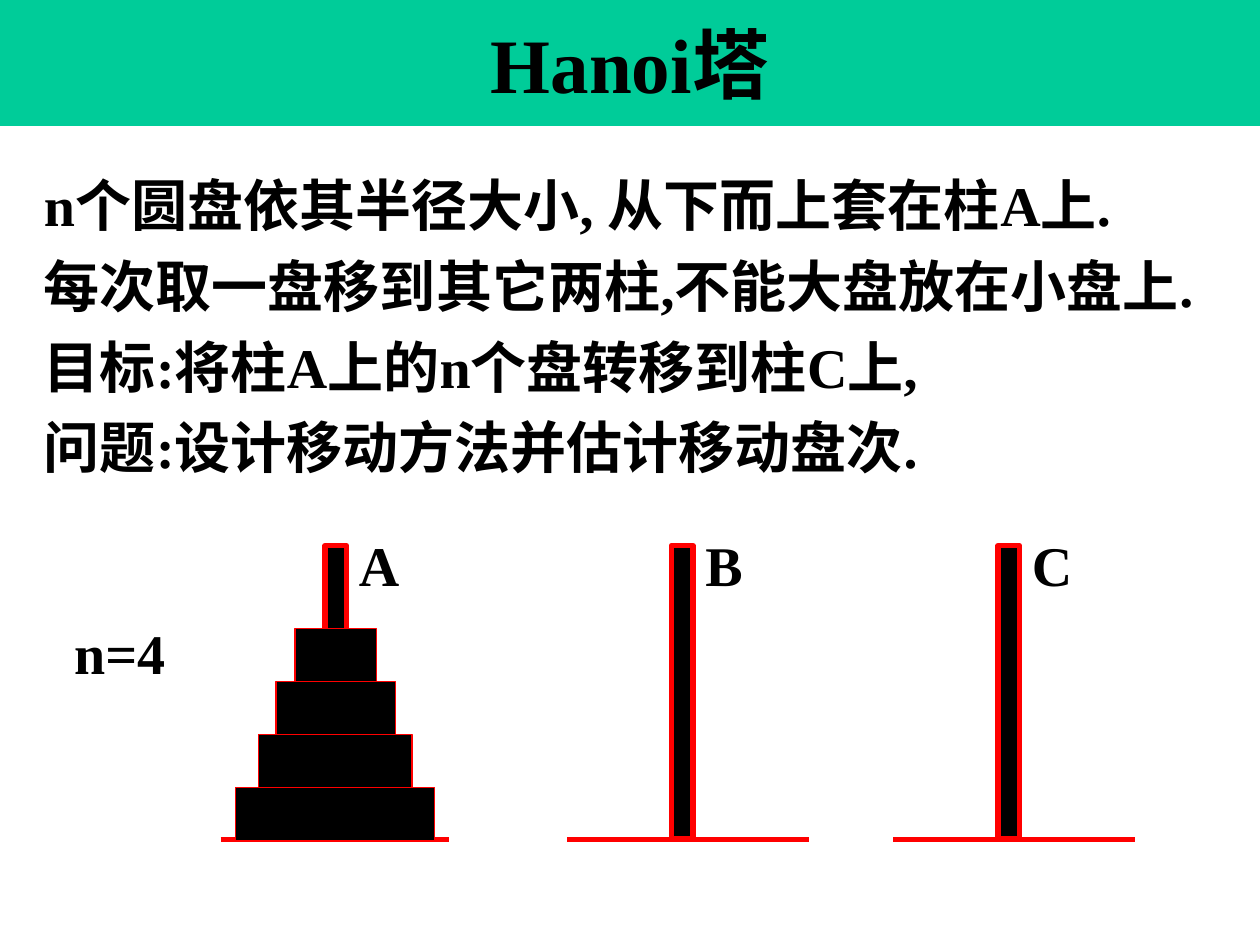
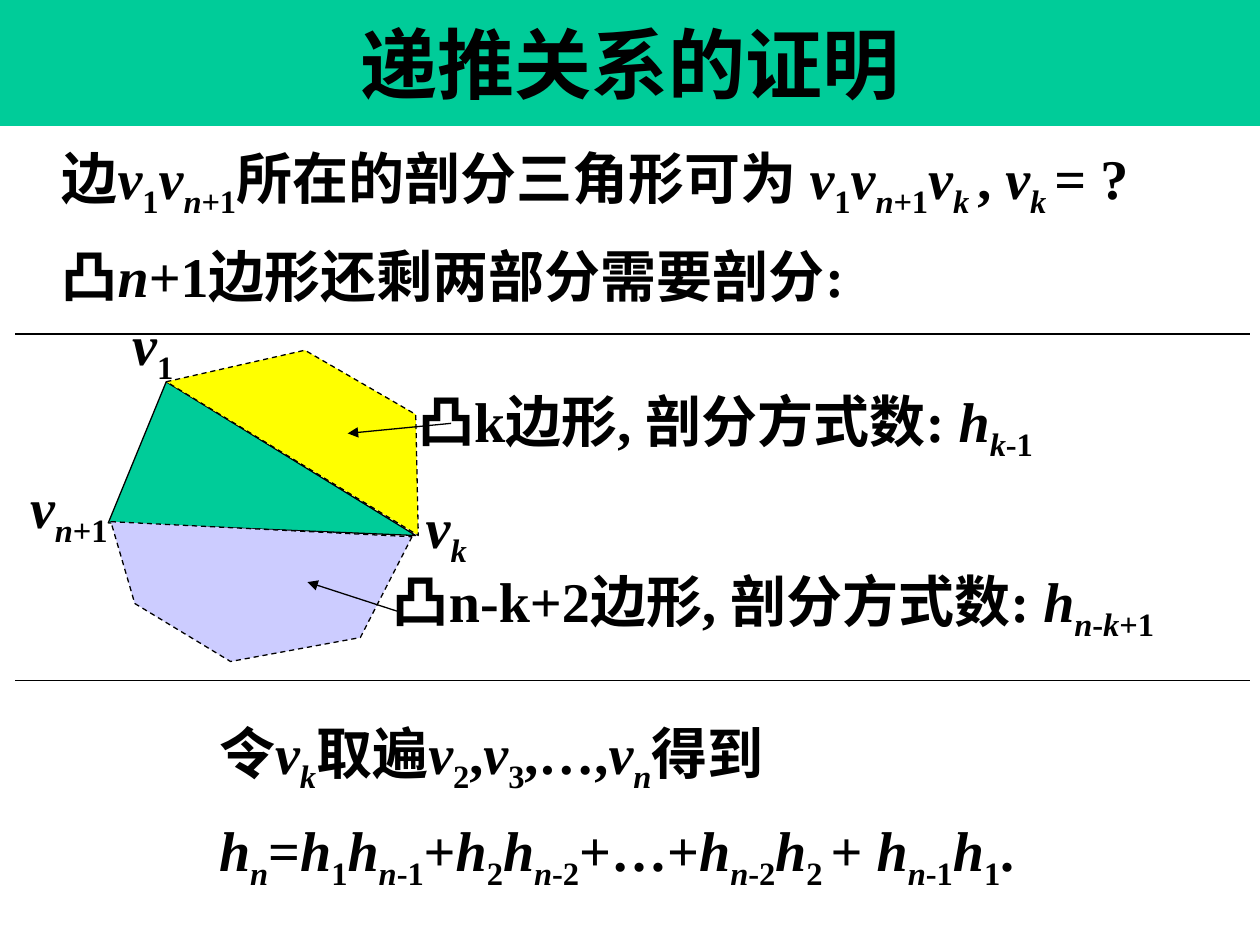
from dataclasses import dataclass
from typing import NamedTuple

import lxml.etree
import pptx
import pptx.dml.color
import pptx.enum.dml
import pptx.enum.shapes
import pptx.enum.text
import pptx.oxml.ns
import pptx.util

EMU_PER_PX = 9144  # 100 px to the inch


@dataclass(frozen=True)
class Theme:
    font: str = "Times New Roman"
    title_size: int = 44
    body_size: int = 32
    ink: str = "000000"
    band: str = "00CC99"
    peg_edge: str = "FF0000"
    upper_part: str = "FFFF00"
    lower_part: str = "CCCCFF"
    thin: float = 0.75
    thick: float = 3
    subscript: str = "-25000"


THEME = Theme()


class Span(NamedTuple):
    text: str
    italic: bool = False
    lowered: bool = False


class Place(NamedTuple):
    left: int
    top: int
    width: int
    height: int


class Point(NamedTuple):
    x: int
    y: int


class Peg(NamedTuple):
    name: str
    left: int
    base_width: int


class Note(NamedTuple):
    place: Place
    lines: list[list[Span]]
    space_before: int = 0
    line_spacing: float = 1.0


class Region(NamedTuple):
    points: list[Point]
    fill: str
    dashed: bool


class Rule(NamedTuple):
    start: Point
    end: Point
    arrow: bool = False
    color: str = THEME.ink
    weight: float = THEME.thin


def px(value: float) -> pptx.util.Emu:
    return pptx.util.Emu(round(value * EMU_PER_PX))


def rgb(value: str) -> pptx.dml.color.RGBColor:
    return pptx.dml.color.RGBColor.from_string(value)


def term(name: str, index: str = "", offset: str = "") -> list[Span]:
    """An italic variable with an optional index: italic letter, then upright part."""
    parts = [Span(name, True), Span(index, True, True), Span(offset, False, True)]
    return [part for part in parts if part.text]


def line(*parts: str | list[Span]) -> list[Span]:
    """Join upright strings and terms into the spans of one paragraph."""
    spans = []
    for part in parts:
        spans += [Span(part)] if isinstance(part, str) else part
    return spans


def add_spans(para, spans: list[Span], size: int) -> None:
    for item in spans:
        span = para.add_run()
        span.text = item.text
        font = span.font
        font.name, font.size = THEME.font, pptx.util.Pt(size)
        font.bold, font.italic = True, item.italic
        font.color.rgb = rgb(THEME.ink)
        if item.lowered:
            span._r.get_or_add_rPr().set("baseline", THEME.subscript)


def paint(shape, fill: str, edge: str | None, weight: float = THEME.thin) -> None:
    shape.shadow.inherit = False
    shape.fill.solid()
    shape.fill.fore_color.rgb = rgb(fill)
    if edge is None:
        shape.line.fill.background()
    else:
        shape.line.color.rgb = rgb(edge)
        shape.line.width = pptx.util.Pt(weight)


def add_box(page, place: Place, fill: str, edge: str | None, weight: float = THEME.thin):
    box = page.shapes.add_shape(
        pptx.enum.shapes.MSO_SHAPE.RECTANGLE, *map(px, place)
    )
    paint(box, fill, edge, weight)
    return box


def add_note(page, note: Note) -> None:
    frame = page.shapes.add_textbox(*map(px, note.place)).text_frame
    frame.word_wrap = True
    for number, spans in enumerate(note.lines):
        para = frame.add_paragraph() if number else frame.paragraphs[0]
        para.space_before = pptx.util.Pt(note.space_before)
        para.line_spacing = note.line_spacing
        add_spans(para, spans, THEME.body_size)


def add_rule(page, rule: Rule) -> None:
    connector = page.shapes.add_connector(
        pptx.enum.shapes.MSO_CONNECTOR.STRAIGHT, *map(px, rule.start + rule.end)
    )
    connector.line.color.rgb = rgb(rule.color)
    connector.line.width = pptx.util.Pt(rule.weight)
    if rule.arrow:
        outline = connector.line._get_or_add_ln()
        tail = lxml.etree.SubElement(outline, pptx.oxml.ns.qn("a:tailEnd"))
        tail.set("type", "triangle")
    lxml.etree.SubElement(connector._element.spPr, pptx.oxml.ns.qn("a:effectLst"))


def add_region(page, region: Region) -> None:
    first, *others = region.points
    builder = page.shapes.build_freeform(first.x, first.y, scale=EMU_PER_PX)
    builder.add_line_segments(others, close=True)
    shape = builder.convert_to_shape()
    paint(shape, region.fill, THEME.ink)
    if region.dashed:
        shape.line.dash_style = pptx.enum.dml.MSO_LINE.DASH


def add_page(deck, title: str):
    """Add a blank slide with the title band across its top."""
    page = deck.slides.add_slide(deck.slide_layouts[6])
    band = add_box(page, Place(0, 0, 1000, 100), THEME.band, None)
    frame = band.text_frame
    frame.word_wrap = True
    frame.vertical_anchor = pptx.enum.text.MSO_ANCHOR.MIDDLE
    para = frame.paragraphs[0]
    para.alignment = pptx.enum.text.PP_ALIGN.CENTER
    add_spans(para, [Span(title)], THEME.title_size)
    return page


def add_peg(page, peg: Peg, top: int, ground: int) -> None:
    base_left = peg.left - 83
    add_rule(page, Rule(
        Point(base_left, ground), Point(base_left + peg.base_width, ground),
        color=THEME.peg_edge, weight=THEME.thick,
    ))
    post = Place(peg.left, top, 17, ground - top)
    add_box(page, post, THEME.ink, THEME.peg_edge, THEME.thick)
    add_note(page, Note(Place(peg.left + 17, top - 17, 55, 64), [line(peg.name)]))


def add_hanoi_page(deck) -> None:
    page = add_page(deck, "Hanoi塔")
    add_note(page, Note(Place(25, 120, 975, 266), [
        line("n个圆盘依其半径大小, 从下而上套在柱A上."),
        line("每次取一盘移到其它两柱,不能大盘放在小盘上."),
        line("目标:将柱A上的n个盘转移到柱C上,"),
        line("问题:设计移动方法并估计移动盘次."),
    ], line_spacing=1.2))

    ground = 666
    for peg in (Peg("A", 258, 181), Peg("B", 533, 192), Peg("C", 792, 192)):
        add_peg(page, peg, 433, ground)

    disk_centre, disk_height = 266, 42
    for level, width in enumerate((158, 122, 95, 65), start=1):
        disk = Place(
            disk_centre - width // 2, ground + 1 - level * disk_height,
            width, disk_height,
        )
        add_box(page, disk, THEME.ink, THEME.peg_edge)
    add_note(page, Note(Place(49, 486, 105, 64), [line("n=4")]))


def add_proof_page(deck) -> None:
    page = add_page(deck, "递推关系的证明")
    v_first, v_last, v_k = term("v", "", "1"), term("v", "n", "+1"), term("v", "k")
    h_first, h_second = term("h", "", "1"), term("h", "", "2")
    h_minus_one, h_minus_two = term("h", "n", "-1"), term("h", "n", "-2")

    regions = (
        Region([Point(132, 303), Point(330, 425), Point(86, 415)], THEME.band, False),
        Region([Point(132, 303), Point(242, 278), Point(330, 329), Point(332, 425)],
               THEME.upper_part, True),
        Region([Point(327, 426), Point(286, 506), Point(183, 525), Point(107, 479),
                Point(88, 414)], THEME.lower_part, True),
    )
    notes = (
        Note(Place(39, 109, 930, 141), [
            line("边", v_first, v_last, "所在的剖分三角形可为 ", v_first, v_last,
                 term("v", "k "), ", ", term("v", "k "), "= ?"),
            line("凸", term("n"), "+1边形还剩两部分需要剖分:"),
        ], space_before=12),
        Note(Place(95, 241, 65, 71), [v_first]),
        Note(Place(14, 370, 95, 71), [v_last]),
        Note(Place(328, 386, 65, 71), [v_k]),
        Note(Place(322, 302, 600, 71), [
            line("凸k边形, 剖分方式数: ", term("h", "k", "-1")),
        ]),
        Note(Place(302, 445, 698, 71), [
            line("凸n-k+2边形, 剖分方式数: ", term("h", "n", "-"),
                 [Span("k", True, True), Span("+1", False, True)]),
        ]),
        Note(Place(164, 565, 680, 148), [
            line("令", v_k, "取遍", term("v", "", "2"), ",", term("v", "", "3"),
                 ",…,", term("v", "n"), "得到"),
            line(term("h", "n"), "=", h_first, h_minus_one, "+", h_second, h_minus_two,
                 "+…+", h_minus_two, term("h", "", "2 "), "+ ", h_minus_one,
                 h_first, "."),
        ], space_before=12),
    )
    rules = (
        *(Rule(Point(12, y), Point(992, y)) for y in (265, 540)),
        Rule(Point(358, 336), Point(276, 344), arrow=True),
        Rule(Point(315, 485), Point(244, 462), arrow=True),
    )
    for region in regions:
        add_region(page, region)
    for note in notes:
        add_note(page, note)
    for rule in rules:
        add_rule(page, rule)


def main() -> None:
    deck = pptx.Presentation()
    deck.slide_width, deck.slide_height = px(1000), px(750)
    add_hanoi_page(deck)
    add_proof_page(deck)
    deck.save("out.pptx")


if __name__ == "__main__":
    main()
